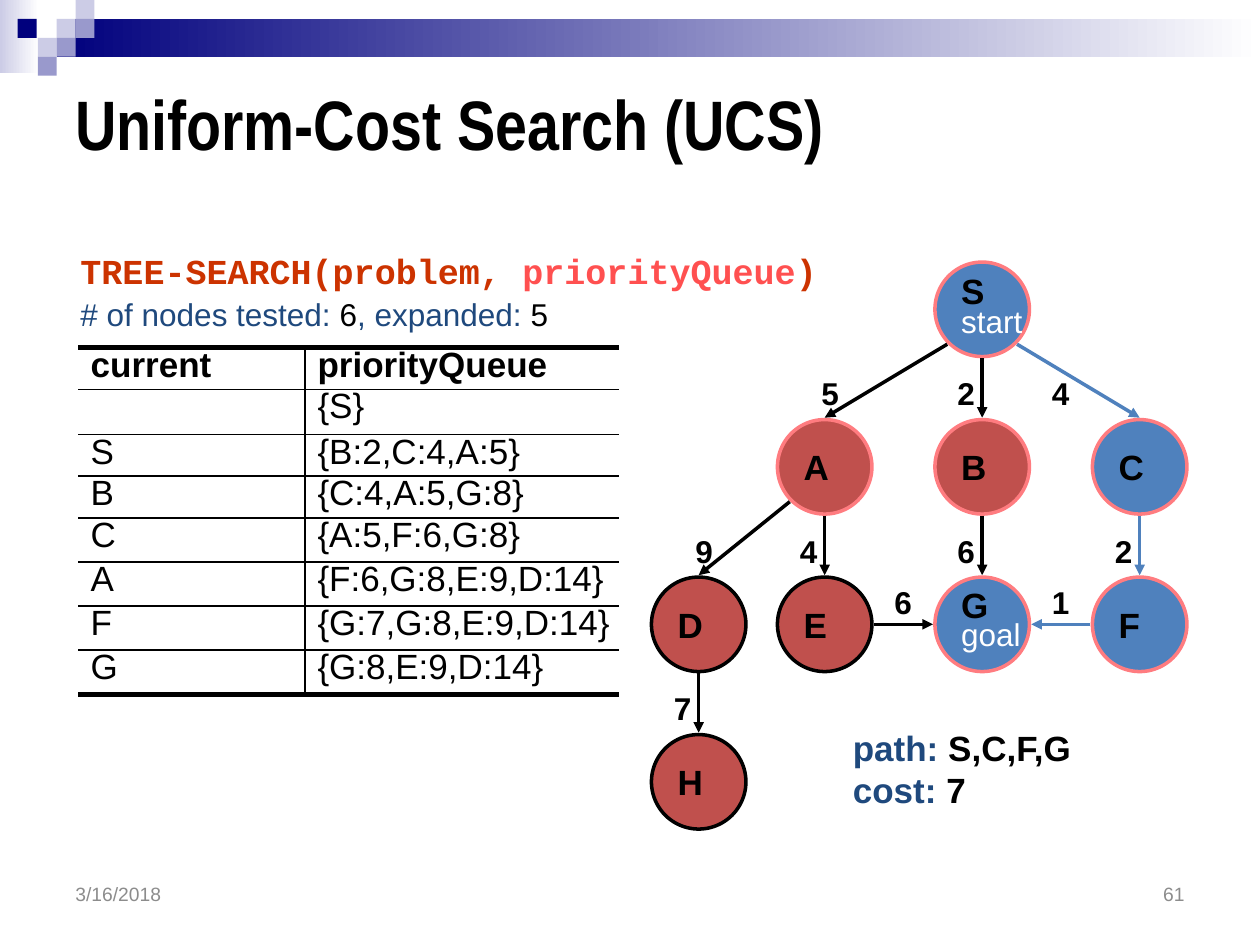
from dataclasses import dataclass
from typing import NamedTuple

from lxml import etree
from pptx import Presentation
from pptx.dml.color import RGBColor
from pptx.enum.shapes import MSO_CONNECTOR, MSO_SHAPE
from pptx.enum.text import MSO_ANCHOR, MSO_AUTO_SIZE, PP_ALIGN
from pptx.oxml.ns import qn
from pptx.util import Inches, Pt

RECTANGLE, OVAL = MSO_SHAPE.RECTANGLE, MSO_SHAPE.OVAL
STRAIGHT = MSO_CONNECTOR.STRAIGHT
TOP, MIDDLE = MSO_ANCHOR.TOP, MSO_ANCHOR.MIDDLE
LEFT, RIGHT = PP_ALIGN.LEFT, PP_ALIGN.RIGHT
FIT_TEXT, NO_FIT = MSO_AUTO_SIZE.SHAPE_TO_FIT_TEXT, MSO_AUTO_SIZE.NONE


@dataclass(frozen=True)
class Theme:
    black: str = "000000"
    white: str = "FFFFFF"
    navy: str = "00007D"
    lavender: str = "CCCCE6"
    violet: str = "9999CC"
    heading_blue: str = "1F497D"
    code: str = "CC3300"
    code_accent: str = "FF5050"
    node_blue: str = "4F81BD"
    node_red: str = "C0504D"
    visited: str = "FF7C80"
    footer: str = "8C8C8C"
    body_font: str = "Arial"
    title_font: str = "Arial Narrow"
    code_font: str = "Courier New"
    title_size: int = 40
    large: int = 20
    medium: int = 18
    small: int = 11


THEME = Theme()


class Span(NamedTuple):
    text: str
    color: str = THEME.black
    size: int = THEME.large
    bold: bool = False
    font: str = THEME.body_font


class Node(NamedTuple):
    column: int
    row: int
    fill: str
    outline: str
    caption: str = ""
    name_spacing: float = 1.0


class Edge(NamedTuple):
    start: str
    end: str
    cost: str
    cost_left: float
    color: str = THEME.black


# Search graph
DIAMETER = 0.75
REACH = 0.39  # from a node's centre to the end of an arrow
COLUMN_LEFTS = (5.17, 6.17, 7.42, 8.67)
FIRST_ROW, ROW_STEP = 2.08, 1.25
BLUE, RED, VISITED = THEME.node_blue, THEME.node_red, THEME.visited
NODES = {
    "S": Node(2, 0, BLUE, VISITED, "start", 0.75),
    "A": Node(1, 1, RED, VISITED),
    "B": Node(2, 1, RED, VISITED),
    "C": Node(3, 1, BLUE, VISITED),
    "D": Node(0, 2, RED, THEME.black),
    "E": Node(1, 2, RED, THEME.black),
    "G": Node(2, 2, BLUE, VISITED, "goal", 0.65),
    "F": Node(3, 2, BLUE, VISITED),
    "H": Node(0, 3, RED, THEME.black),
}
EDGES = (
    Edge("S", "A", "5", 6.42), Edge("S", "B", "2", 7.5), Edge("S", "C", "4", 8.25, BLUE),
    Edge("A", "D", "9", 5.42), Edge("A", "E", "4", 6.25), Edge("B", "G", "6", 7.5),
    Edge("C", "F", "2", 8.75, BLUE), Edge("E", "G", "6", 7.0),
    Edge("F", "G", "1", 8.25, BLUE), Edge("D", "H", "7", 5.25),
)

# Search trace
TRACE = (
    ("current", "priorityQueue"), ("", "{S}"), ("S", "{B:2,C:4,A:5}"),
    ("B", "{C:4,A:5,G:8}"), ("C", "{A:5,F:6,G:8}"), ("A", "{F:6,G:8,E:9,D:14}"),
    ("F", "{G:7,G:8,E:9,D:14}"), ("G", "{G:8,E:9,D:14}"),
)
TRACE_WIDTHS = (1.8, 2.49)
TRACE_HEIGHTS = (0.33, 0.36, 0.33, 0.33, 0.35, 0.35, 0.35, 0.35)


def rgb(color: str) -> RGBColor:
    return RGBColor.from_string(color)


def write(paragraph, spans: list[Span]) -> None:
    for span in spans:
        run = paragraph.add_run()
        run.text = span.text
        run.font.name, run.font.size, run.font.bold = span.font, Pt(span.size), span.bold
        run.font.color.rgb = rgb(span.color)


def add_text(slide, left: float, top: float, width: float, height: float,
             *lines: list[Span], anchor=TOP, align=LEFT, wrap: bool = False) -> None:
    frame = slide.shapes.add_textbox(
        Inches(left), Inches(top), Inches(width), Inches(height)).text_frame
    frame.word_wrap, frame.vertical_anchor = wrap, anchor
    frame.auto_size = NO_FIT if wrap else FIT_TEXT
    for index, spans in enumerate(lines):
        paragraph = frame.add_paragraph() if index else frame.paragraphs[0]
        paragraph.alignment = align
        write(paragraph, spans)


def add_block(slide, left: float, top: float, width: float, height: float,
              color: str, fades: bool = False) -> None:
    block = slide.shapes.add_shape(
        RECTANGLE, Inches(left), Inches(top), Inches(width), Inches(height))
    block.shadow.inherit = False
    block.line.fill.background()
    if fades:
        block.fill.gradient()
        block.fill.gradient_angle = 0
        for stop, stop_color in zip(block.fill.gradient_stops, (color, THEME.white)):
            stop.color.rgb = rgb(stop_color)
    else:
        block.fill.solid()
        block.fill.fore_color.rgb = rgb(color)


def node_corner(node: Node) -> tuple[float, float]:
    return COLUMN_LEFTS[node.column], FIRST_ROW + node.row * ROW_STEP


def add_node(slide, name: str, node: Node) -> None:
    left, top = node_corner(node)
    circle = slide.shapes.add_shape(
        OVAL, Inches(left), Inches(top), Inches(DIAMETER), Inches(DIAMETER))
    circle.shadow.inherit = False
    circle.fill.solid()
    circle.fill.fore_color.rgb = rgb(node.fill)
    circle.line.color.rgb, circle.line.width = rgb(node.outline), Pt(2)
    frame = circle.text_frame
    frame.word_wrap, frame.vertical_anchor = False, MIDDLE
    label = frame.paragraphs[0]
    label.alignment, label.line_spacing = LEFT, node.name_spacing
    write(label, [Span(name, bold=True)])
    if node.caption:
        caption = frame.add_paragraph()
        caption.alignment, caption.line_spacing = LEFT, 0.75
        write(caption, [Span(node.caption, THEME.white, THEME.medium)])


def add_edge(slide, edge: Edge) -> None:
    start, end = NODES[edge.start], NODES[edge.end]
    (x1, y1), (x2, y2) = [(x + DIAMETER / 2, y + DIAMETER / 2)
                          for x, y in map(node_corner, (start, end))]
    across = (x2 > x1) - (x2 < x1)
    down = end.row - start.row
    reach = REACH * 0.71 if across and down else REACH
    # Arrows to a lower row end at the top of the circle
    end_x, end_y = (x2, y2 - REACH) if down else (x2 - across * REACH, y2)
    arrow = slide.shapes.add_connector(
        STRAIGHT, Inches(x1 + across * reach), Inches(y1 + down * reach),
        Inches(end_x), Inches(end_y))
    arrow.line.color.rgb, arrow.line.width = rgb(edge.color), Pt(2)
    etree.SubElement(arrow.line._get_or_add_ln(), qn("a:tailEnd"), type="triangle")
    etree.SubElement(arrow._element.spPr, qn("a:effectLst"))
    cost_top = node_corner(start)[1] + (0.84 if down else 0)
    add_text(slide, edge.cost_left, cost_top, 0.34, 0.4,
             [Span(edge.cost, size=THEME.medium, bold=True)])


def set_borders(cell, widths: dict[str, int]) -> None:
    properties = cell._tc.get_or_add_tcPr()
    for index, side in enumerate(("lnL", "lnR", "lnT", "lnB")):
        width = widths.get(side, 0)
        border = etree.Element(qn(f"a:{side}"), w=str(Pt(width)))
        fill = etree.SubElement(border, qn("a:solidFill" if width else "a:noFill"))
        if width:
            etree.SubElement(fill, qn("a:srgbClr"), val=THEME.black)
        properties.insert(index, border)


def add_trace(slide) -> None:
    table = slide.shapes.add_table(
        len(TRACE), len(TRACE_WIDTHS), Inches(0.62), Inches(2.76),
        Inches(sum(TRACE_WIDTHS)), Inches(sum(TRACE_HEIGHTS))).table
    table.first_row = table.horz_banding = False
    for column, width in zip(table.columns, TRACE_WIDTHS):
        column.width = Inches(width)
    last = len(TRACE) - 1
    for r, (row, height) in enumerate(zip(TRACE, TRACE_HEIGHTS)):
        table.rows[r].height = Inches(height)
        for c, text in enumerate(row):
            cell = table.cell(r, c)
            cell.fill.background()
            cell.margin_left, cell.margin_top = Inches(0.1), Inches(0.01)
            cell.margin_right = cell.margin_bottom = Inches(0.02)
            paragraph = cell.text_frame.paragraphs[0]
            paragraph.line_spacing, paragraph.space_before = 0.9, Pt(2)
            if text:
                write(paragraph, [Span(text, bold=r == 0)])
            set_borders(cell, {"lnT": 1 if r else 3, "lnB": 3 if r == last else 1,
                               "lnL" if c else "lnR": 1})


def main() -> None:
    deck = Presentation()
    deck.slide_width, deck.slide_height = Inches(10), Inches(7.5)
    slide = deck.slides.add_slide(deck.slide_layouts[6])

    # Banner with its small squares
    add_block(slide, 0, 0, 0.31, 0.58, THEME.lavender, fades=True)
    add_block(slide, 0.45, 0.15, 9.55, 0.3, THEME.navy, fades=True)
    for left, top, color in (
            (0.45, 0.15, THEME.lavender), (0.6, 0, THEME.lavender), (0.6, 0.15, THEME.violet),
            (0.3, 0.3, THEME.lavender), (0.14, 0.15, THEME.navy), (0.45, 0.3, THEME.violet),
            (0.3, 0.45, THEME.violet)):
        add_block(slide, left, top, 0.15, 0.15, color)

    # Title and footer
    add_text(slide, 0.5, 0.45, 9, 1.05,
             [Span("Uniform-Cost Search (UCS)", size=THEME.title_size, bold=True,
                   font=THEME.title_font)], anchor=MIDDLE, wrap=True)
    for left, text, align in ((0.5, "3/16/2018", LEFT), (7.17, "61", RIGHT)):
        add_text(slide, left, 6.92, 2.33, 0.35, [Span(text, THEME.footer, THEME.small)],
                 anchor=MIDDLE, align=align, wrap=True)

    # Algorithm call, counts and trace
    add_text(slide, 0.54, 2.29, 3.91, 0.4, [
        Span(text, color, THEME.medium) for text, color in (
            ("# of nodes tested:", THEME.heading_blue), (" 6", THEME.black),
            (", expanded:", THEME.heading_blue), (" 5", THEME.black))])
    add_text(slide, 0.54, 1.93, 6.09, 0.44, [
        Span(text, color, bold=True, font=THEME.code_font) for text, color in (
            ("TREE-SEARCH(problem, ", THEME.code), ("priorityQueue", THEME.code_accent),
            (")", THEME.code))])
    add_trace(slide)

    # Graph and result
    for name, node in NODES.items():
        add_node(slide, name, node)
    for edge in EDGES:
        add_edge(slide, edge)
    add_text(slide, 6.67, 5.72, 1.96, 0.77, *(
        [Span(label, THEME.heading_blue, bold=True), Span(value, bold=True)]
        for label, value in (("path: ", "S,C,F,G"), ("cost:", " 7"))))

    deck.save("out.pptx")


if __name__ == "__main__":
    main()
